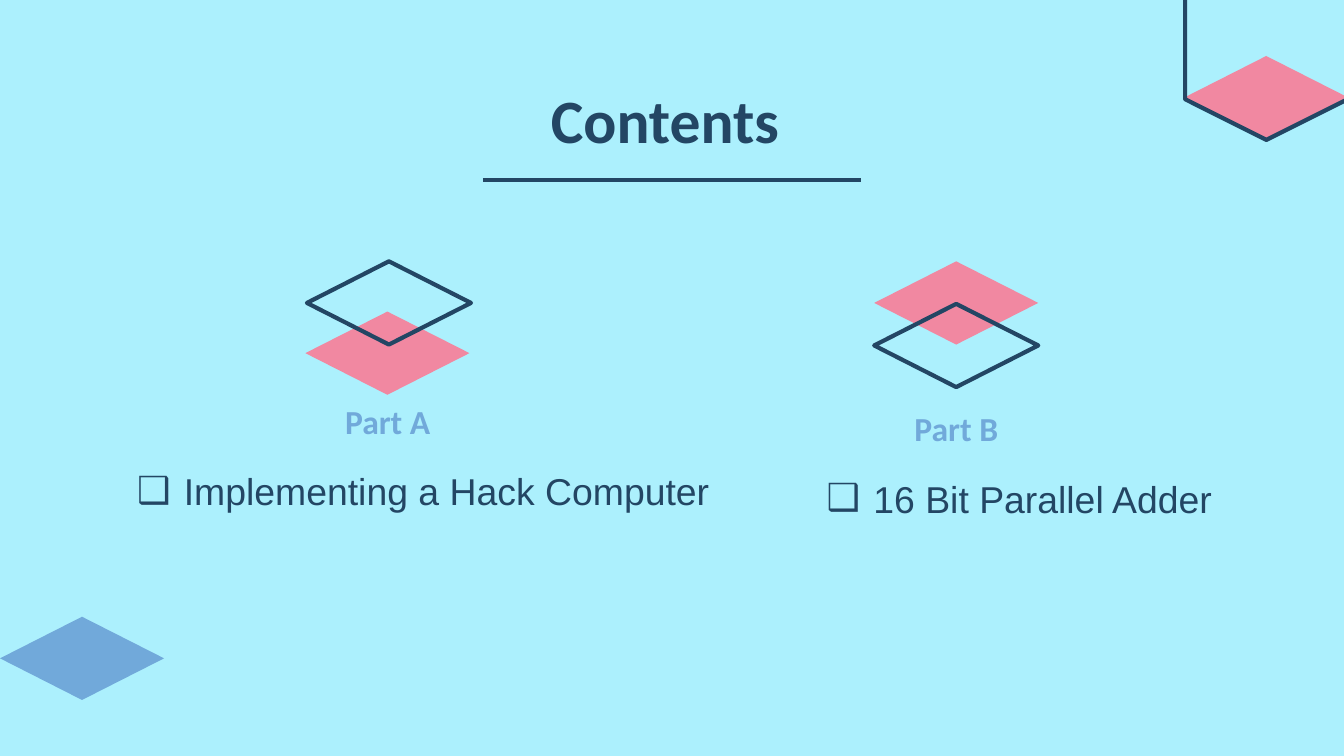
from lxml import etree
from pptx import Presentation
from pptx.dml.color import RGBColor
from pptx.enum.shapes import MSO_CONNECTOR, MSO_SHAPE
from pptx.enum.text import MSO_ANCHOR, MSO_AUTO_SIZE, PP_ALIGN
from pptx.oxml.ns import qn
from pptx.util import Pt

DIAMOND = MSO_SHAPE.DIAMOND
HEXAGON = MSO_SHAPE.HEXAGON
STRAIGHT = MSO_CONNECTOR.STRAIGHT
CENTER = PP_ALIGN.CENTER
LEFT = PP_ALIGN.LEFT
TOP = MSO_ANCHOR.TOP
BOTTOM = MSO_ANCHOR.BOTTOM
NO_AUTOFIT = MSO_AUTO_SIZE.NONE

COLORS = {
    "sky": "ACF0FD",
    "navy": "234664",
    "pink": "F188A1",
    "blue": "71A9DA",
}
DIAMOND_SIZE = (87.9, 44.6)
LINE_WIDTH = 2.25
INSET = 7.2


def color(name):
    return RGBColor.from_string(COLORS[name])


def add_figure(slide, kind, left, top, size, fill=None, rotation=0):
    figure = slide.shapes.add_shape(kind, Pt(left), Pt(top), *map(Pt, size))
    figure.shadow.inherit = False
    figure.rotation = rotation
    if fill:
        figure.fill.solid()
        figure.fill.fore_color.rgb = color(fill)
        figure.line.fill.background()
    else:
        figure.fill.background()
        figure.line.color.rgb = color("navy")
        figure.line.width = Pt(LINE_WIDTH)
        etree.SubElement(figure.line._get_or_add_ln(), qn("a:round"))


def add_diamond(slide, left, top, fill=None):
    add_figure(slide, DIAMOND, left, top, DIAMOND_SIZE, fill)


def add_rule(slide, left, right, y):
    rule = slide.shapes.add_connector(STRAIGHT, Pt(left), Pt(y), Pt(right), Pt(y))
    rule.line.color.rgb = color("navy")
    rule.line.width = Pt(LINE_WIDTH)
    etree.SubElement(rule._element.spPr, qn("a:effectLst"))


def write_text(holder, box, text, font, size, ink, bold=False, align=CENTER, anchor=TOP):
    holder.left, holder.top, holder.width, holder.height = map(Pt, box)
    frame = holder.text_frame
    frame.word_wrap = True
    frame.auto_size = NO_AUTOFIT
    frame.vertical_anchor = anchor
    frame.margin_left = frame.margin_right = Pt(INSET)
    frame.margin_top = frame.margin_bottom = Pt(INSET)
    paragraph = frame.paragraphs[0]
    paragraph.alignment = align
    run = paragraph.add_run()
    run.text = text
    run.font.name = font
    run.font.size = Pt(size)
    run.font.bold = bold
    run.font.color.rgb = color(ink)
    return paragraph


def add_text_box(slide, box, *args, **kwargs):
    holder = slide.shapes.add_textbox(*map(Pt, box))
    return write_text(holder, box, *args, **kwargs)


def add_bullet(paragraph):
    properties = paragraph._p.get_or_add_pPr()
    properties.set("marL", str(Pt(36)))
    properties.set("indent", str(Pt(-25)))
    bullet_color = etree.SubElement(properties, qn("a:buClr"))
    etree.SubElement(bullet_color, qn("a:srgbClr"), val=COLORS["navy"])
    etree.SubElement(properties, qn("a:buFont"), typeface="Arial")
    etree.SubElement(properties, qn("a:buChar"), char="❑")


def add_part(slide, label, label_box, topic, topic_box):
    add_text_box(slide, label_box, label, "Calibri", 18, "blue", bold=True)
    add_bullet(add_text_box(slide, topic_box, topic, "Arial", 20, "navy", align=LEFT))


def main():
    deck = Presentation()
    deck.slide_width, deck.slide_height = Pt(720), Pt(405)
    slide = deck.slides.add_slide(deck.slide_layouts[5])
    slide.background.fill.solid()
    slide.background.fill.fore_color.rgb = color("sky")

    write_text(slide.shapes.title, (218.9, 43.2, 282.2, 47.5), "Contents ",
               "Calibri", 33, "navy", bold=True, anchor=BOTTOM)
    add_rule(slide, 258.7, 461.3, 96.5)

    add_diamond(slide, 0, 330.4, "blue")
    add_diamond(slide, 634.4, 30, "pink")
    add_figure(slide, HEXAGON, 600.3, -46.7, (156.2, 87.1), rotation=90)

    add_diamond(slide, 163.6, 166.9, "pink")
    add_diamond(slide, 164.4, 140, None)
    add_diamond(slide, 468.3, 140, "pink")
    add_diamond(slide, 468.3, 162.8, None)

    add_part(slide, "Part A", (126.7, 207.4, 162, 36),
             "Implementing a Hack Computer", (55.4, 243.4, 344.9, 56.2))
    add_part(slide, "Part B", (431.3, 211.3, 162, 36),
             "16 Bit Parallel Adder", (424.8, 247.7, 251.3, 81.4))

    deck.save("out.pptx")


if __name__ == "__main__":
    main()
